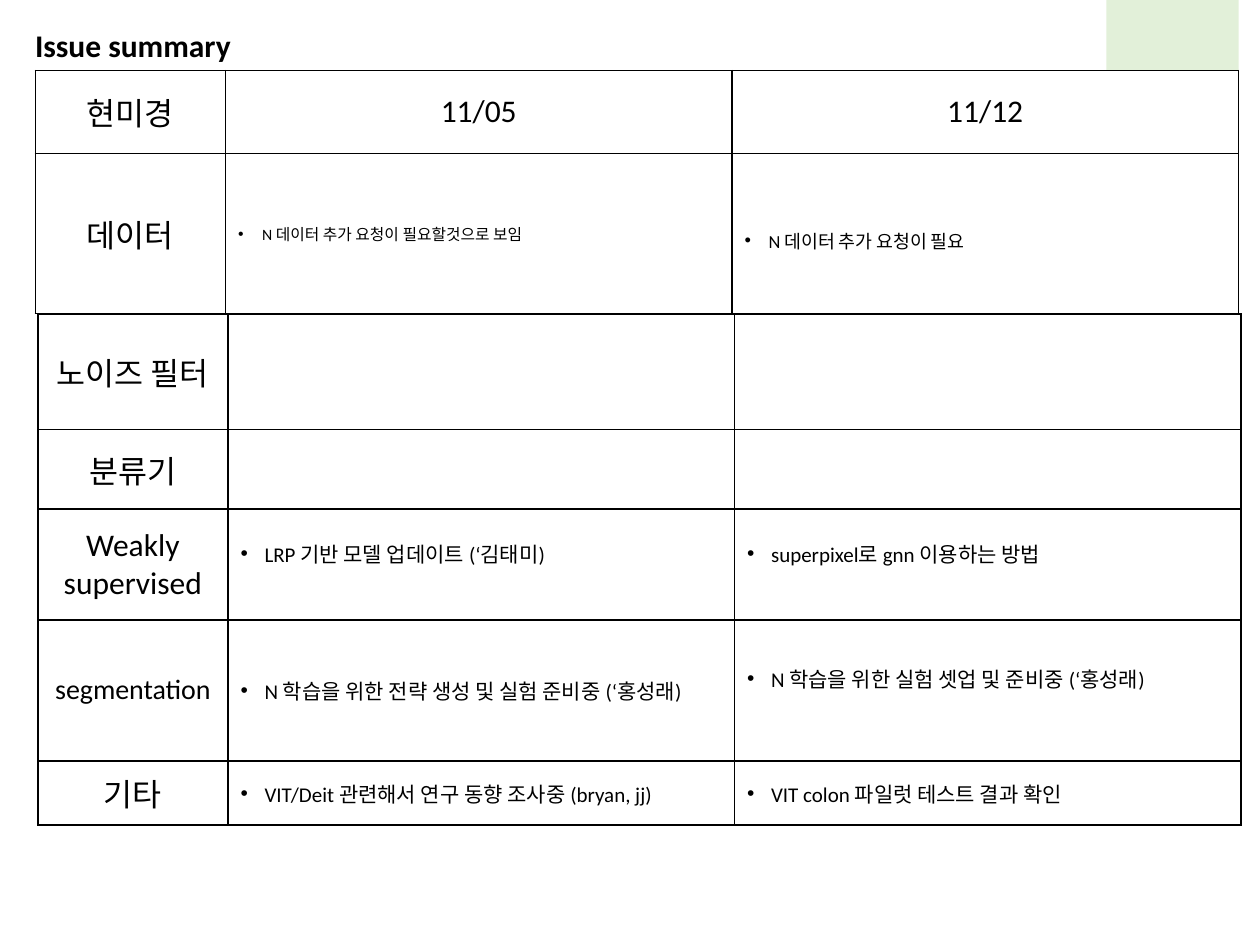
from lxml.etree import SubElement
from pptx import Presentation
from pptx.dml.color import RGBColor
from pptx.enum.shapes import MSO_SHAPE
from pptx.enum.text import MSO_ANCHOR, PP_ALIGN
from pptx.oxml.ns import qn
from pptx.util import Inches, Pt

COLORS = {"ink": "000000", "paper": "FFFFFF", "accent": "E2F0D9"}
FONT = "Calibri"
COLUMNS = [1.51, 4.02, 4.02]

# Each row: height, label, label size, then (text, size, top margin, bottom margin)
DATA_ROWS = [
    (1.27, "데이터", 18, [
        ("N 데이터 추가 요청이 필요할것으로 보임", 9, 0.05, 0.05),
        ("N 데이터 추가 요청이 필요", 10.5, 0.16, 0.05)]),
]
TASK_ROWS = [
    (0.92, "노이즈 필터", 18, []),
    (0.63, "분류기", 18, []),
    (0.88, "Weakly supervised", 18, [
        ("LRP 기반 모델 업데이트 (‘김태미)", 12, 0.05, 0.22),
        ("superpixel로 gnn 이용하는 방법", 12, 0.05, 0.22)]),
    (1.12, "segmentation", 16, [
        ("N 학습을 위한 전략 생성 및 실험 준비중 (‘홍성래)", 12, 0.05, 0.05),
        ("N 학습을 위한 실험 셋업 및 준비중 (‘홍성래)", 12, 0.05, 0.24)]),
    (0.51, "기타", 18, [
        ("VIT/Deit 관련해서 연구 동향 조사중 (bryan, jj)", 12, 0.05, 0.05),
        ("VIT colon 파일럿 테스트 결과 확인", 12, 0.05, 0.05)]),
]


def color(name):
    return RGBColor.from_string(COLORS[name])


def style(para, size, bold=False):
    para.font.name = FONT
    para.font.size = Pt(size)
    para.font.bold = bold
    para.font.color.rgb = color("ink")


def frame_cell(cell):
    """White cell with a thin black border on every side."""
    cell.vertical_anchor = MSO_ANCHOR.MIDDLE
    properties = cell._tc.get_or_add_tcPr()
    for side in ("a:lnL", "a:lnR", "a:lnT", "a:lnB"):
        line = SubElement(properties, qn(side), w=str(Pt(1)))
        fill = SubElement(line, qn("a:solidFill"))
        SubElement(fill, qn("a:srgbClr"), val=COLORS["ink"])
    cell.fill.solid()
    cell.fill.fore_color.rgb = color("paper")


def write_label(cell, text, size):
    para = cell.text_frame.paragraphs[0]
    para.text = text
    para.alignment = PP_ALIGN.CENTER
    style(para, size)


def write_bullet(cell, text, size, top, bottom):
    cell.margin_top, cell.margin_bottom = Inches(top), Inches(bottom)
    para = cell.text_frame.paragraphs[0]
    para.text = text
    style(para, size)
    properties = para._p.get_or_add_pPr()
    properties.set("marL", str(Inches(0.19)))
    properties.set("indent", str(-Inches(0.19)))
    bullet_font = SubElement(properties, qn("a:buFont"), typeface="Arial")
    bullet = SubElement(properties, qn("a:buChar"), char="•")
    # Bullet settings come before the default run properties
    properties.insert(0, bullet)
    properties.insert(0, bullet_font)


def add_grid(page, left, top, heights):
    """Empty bordered table, one row for each height."""
    table = page.shapes.add_table(
        len(heights), len(COLUMNS), Inches(left), Inches(top),
        Inches(sum(COLUMNS)), Inches(sum(heights))).table
    table.first_row = table.horz_banding = False
    for column, width in zip(table.columns, COLUMNS):
        column.width = Inches(width)
    for row, height in zip(table.rows, heights):
        row.height = Inches(height)
    for cell in table.iter_cells():
        frame_cell(cell)
    return table


def add_issues(page, left, top, rows, header=None):
    heights = [row[0] for row in rows]
    if header:
        heights.insert(0, header[0])
    table = add_grid(page, left, top, heights)
    if header:
        for column, text in enumerate(header[1]):
            write_label(table.cell(0, column), text, 18)
    for index, (_, label, size, notes) in enumerate(rows, 1 if header else 0):
        write_label(table.cell(index, 0), label, size)
        for column, note in enumerate(notes, 1):
            write_bullet(table.cell(index, column), *note)


def add_accent(page, left, top, width, height):
    block = page.shapes.add_shape(MSO_SHAPE.RECTANGLE, Inches(left), Inches(top),
                                  Inches(width), Inches(height))
    block.shadow.inherit = False
    block.fill.solid()
    block.fill.fore_color.rgb = color("accent")
    block.line.fill.background()


def add_heading(page, left, top, width, height, text):
    box = page.shapes.add_textbox(Inches(left), Inches(top), Inches(width), Inches(height))
    box.text_frame.word_wrap = True
    para = box.text_frame.paragraphs[0]
    para.text = text
    style(para, 18, bold=True)


deck = Presentation()
deck.slide_width, deck.slide_height = Inches(10), Inches(7.5)
page = deck.slides.add_slide(deck.slide_layouts[6])

# Heading and corner block
add_accent(page, 8.78, -0.15, 1.05, 1.44)
add_heading(page, 0.18, 0.16, 3.13, 0.4, "Issue summary")

# Issue tables
add_issues(page, 0.28, 0.56, DATA_ROWS, (0.66, ["현미경", "11/05", "11/12"]))
add_issues(page, 0.3, 2.49, TASK_ROWS)

deck.save("out.pptx")
